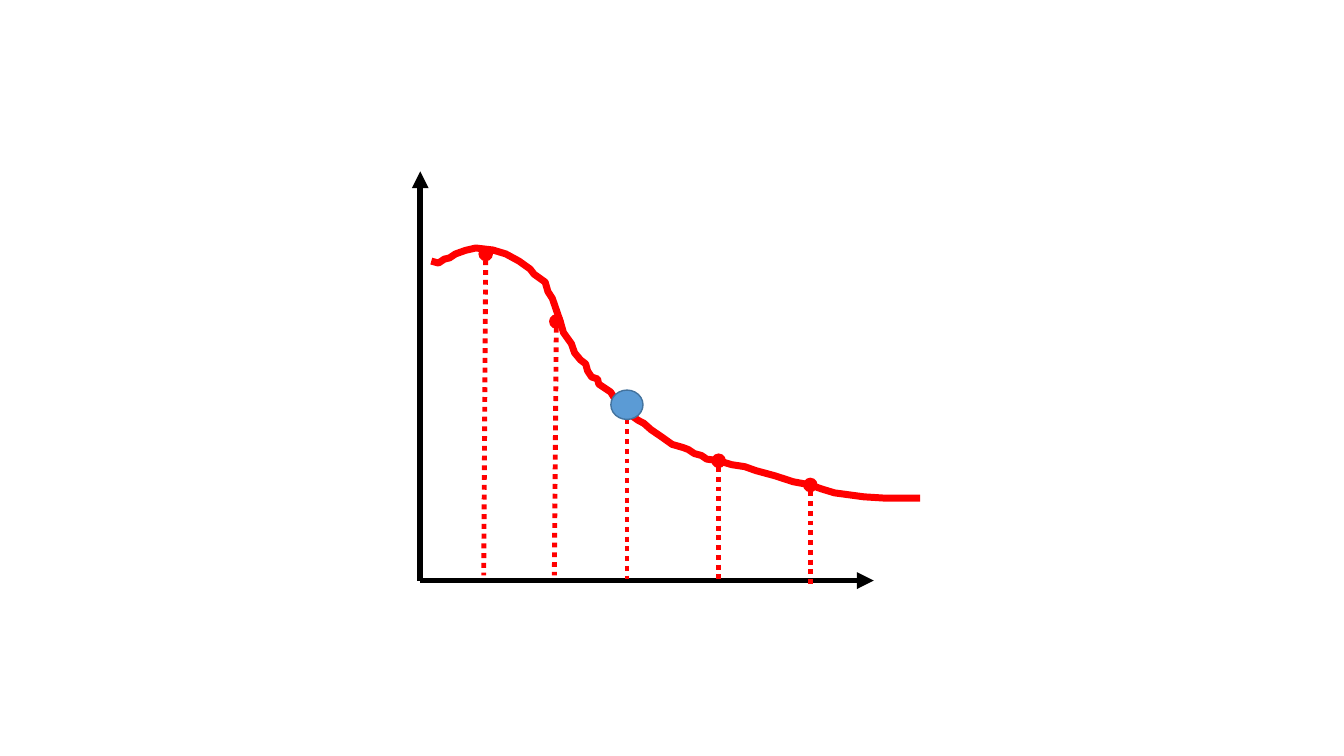
from dataclasses import dataclass

from lxml import etree
from pptx import Presentation
from pptx.dml.color import RGBColor
from pptx.enum.dml import MSO_LINE
from pptx.enum.shapes import MSO_CONNECTOR, MSO_SHAPE
from pptx.oxml.ns import qn
from pptx.util import Cm, Pt

STRAIGHT = MSO_CONNECTOR.STRAIGHT
OVAL = MSO_SHAPE.OVAL
DOTTED = MSO_LINE.ROUND_DOT  # python-pptx writes this member as sysDot


@dataclass(frozen=True)
class Theme:
    axis = RGBColor(0x00, 0x00, 0x00)
    curve = RGBColor(0xFF, 0x00, 0x00)
    focus = RGBColor(0x5B, 0x9B, 0xD5)
    focus_edge = RGBColor(0x43, 0x73, 0x9E)
    axis_width = Pt(4)
    drop_width = Pt(3.5)
    curve_width = Pt(5)
    focus_width = Pt(1)


# All positions are (x, y) in centimetres.
ORIGIN = (10.59, 14.63)
AXIS_TIPS = [(22.02, 14.63), (10.59, 4.32)]

# Point on the curve, foot of its dotted line, whether a dot marks the point
DROPS = [
    ((12.24, 6.40), (12.19, 14.50), True),
    ((14.02, 8.10), (13.97, 14.50), True),
    ((15.80, 10.08), (15.80, 14.58), False),
    ((18.11, 11.61), (18.11, 14.58), True),
    ((20.42, 12.22), (20.42, 14.76), True),
]

CURVE = [
    (10.87, 6.58), (11.05, 6.63), (11.20, 6.53), (11.33, 6.50), (11.48, 6.40),
    (11.73, 6.31), (11.99, 6.25), (12.42, 6.30), (12.75, 6.40), (13.08, 6.58),
    (13.36, 6.78), (13.46, 6.91), (13.74, 7.11), (13.81, 7.35), (13.92, 7.52),
    (14.12, 8.10), (14.20, 8.38), (14.40, 8.66), (14.48, 8.89), (14.63, 9.07),
    (14.76, 9.17), (14.81, 9.35), (14.91, 9.50), (15.06, 9.55), (15.09, 9.68),
    (15.39, 9.88), (15.47, 10.01), (15.62, 10.11), (15.80, 10.39), (16.08, 10.59),
    (16.23, 10.67), (16.41, 10.83), (16.66, 11.00), (16.94, 11.20), (17.22, 11.28),
    (17.35, 11.33), (17.50, 11.43), (17.68, 11.48), (17.81, 11.57), (18.11, 11.61),
    (18.44, 11.71), (18.77, 11.76), (19.05, 11.86), (19.53, 11.99), (19.99, 12.14),
    (20.42, 12.22), (20.70, 12.32), (21.03, 12.42), (21.77, 12.52), (22.25, 12.55),
    (23.19, 12.55),
]

FOCUS_CENTRE = (15.80, 10.20)
FOCUS_SIZE = (0.81, 0.74)


def add_line(slide, start, end, color, width):
    line = slide.shapes.add_connector(STRAIGHT, *map(Cm, start + end))
    line.line.color.rgb = color
    line.line.width = width
    etree.SubElement(line._element.spPr, qn("a:effectLst"))
    return line


def add_line_end(line, end, kind):
    """Put a marker on a line: end is headEnd (start) or tailEnd (finish)."""
    etree.SubElement(line.line._get_or_add_ln(), qn(f"a:{end}"), type=kind)


def add_axes(slide):
    for tip in AXIS_TIPS:
        axis = add_line(slide, ORIGIN, tip, Theme.axis, Theme.axis_width)
        add_line_end(axis, "tailEnd", "triangle")


def add_drops(slide):
    for point, foot, dotted_point in DROPS:
        drop = add_line(slide, point, foot, Theme.curve, Theme.drop_width)
        drop.line.dash_style = DOTTED
        if dotted_point:
            add_line_end(drop, "headEnd", "oval")


def add_curve(slide):
    first, *rest = [(Cm(x), Cm(y)) for x, y in CURVE]
    builder = slide.shapes.build_freeform(*first)
    builder.add_line_segments(rest, close=False)
    curve = builder.convert_to_shape()
    curve.shadow.inherit = False
    curve.fill.background()
    curve.line.color.rgb = Theme.curve
    curve.line.width = Theme.curve_width


def add_focus(slide):
    (x, y), (width, height) = FOCUS_CENTRE, FOCUS_SIZE
    focus = slide.shapes.add_shape(
        OVAL, Cm(x - width / 2), Cm(y - height / 2), Cm(width), Cm(height))
    focus.shadow.inherit = False
    focus.fill.solid()
    focus.fill.fore_color.rgb = Theme.focus
    focus.line.color.rgb = Theme.focus_edge
    focus.line.width = Theme.focus_width


def main():
    deck = Presentation()
    deck.slide_width, deck.slide_height = Cm(33.87), Cm(19.05)
    slide = deck.slides.add_slide(deck.slide_layouts[6])
    add_axes(slide)
    add_drops(slide)
    add_curve(slide)
    add_focus(slide)
    deck.save("out.pptx")


if __name__ == "__main__":
    main()
